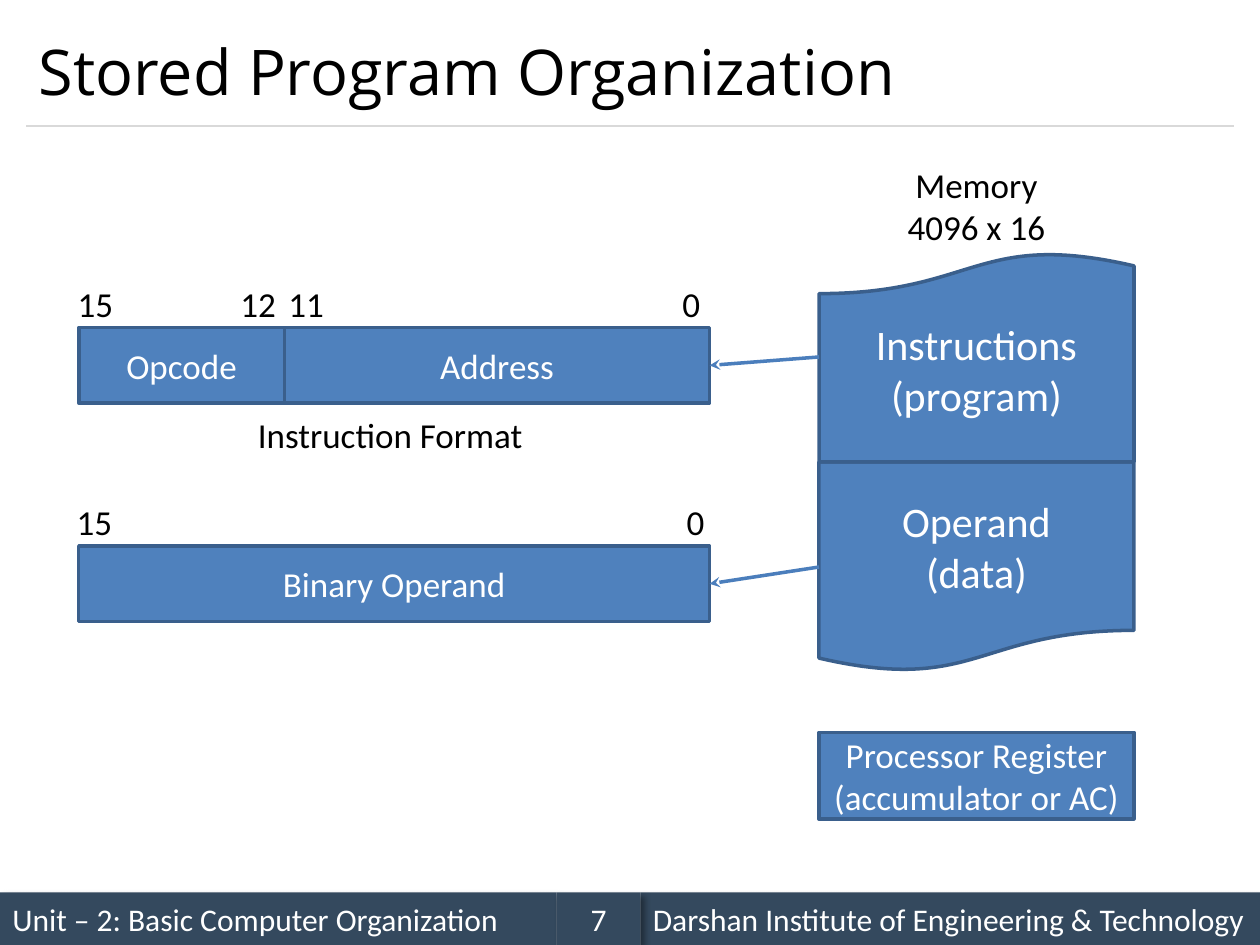
from lxml.etree import SubElement
from pptx import Presentation
from pptx.dml.color import RGBColor
from pptx.enum.shapes import MSO_CONNECTOR, MSO_SHAPE
from pptx.enum.text import MSO_ANCHOR, PP_ALIGN
from pptx.oxml.ns import qn
from pptx.util import Pt

WHITE = RGBColor(0xFF, 0xFF, 0xFF)
BLACK = RGBColor(0, 0, 0)
NAVY = RGBColor(0x34, 0x49, 0x5E)
BLUE = RGBColor(0x4F, 0x81, 0xBD)
BLUE_EDGE = RGBColor(0x3A, 0x5F, 0x8C)
ARROW_BLUE = RGBColor(0x4B, 0x7E, 0xBC)
RULE_GREY = RGBColor(0xD9, 0xD9, 0xD9)


def write(holder, text, size, color, align=PP_ALIGN.CENTER, anchor=MSO_ANCHOR.MIDDLE, font="Calibri"):
    """Put styled text into a shape or text box."""
    frame = holder.text_frame
    frame.word_wrap = True
    frame.vertical_anchor = anchor
    frame.text = text
    for paragraph in frame.paragraphs:
        paragraph.alignment = align
        paragraph.font.size = Pt(size)
        paragraph.font.name = font
        paragraph.font.color.rgb = color


def add_label(slide, box, text, size=20, color=BLACK):
    """Add a centred text box."""
    label = slide.shapes.add_textbox(*map(Pt, box))
    write(label, text, size, color, anchor=MSO_ANCHOR.TOP)


def add_block(slide, box, text="", size=20, kind=MSO_SHAPE.RECTANGLE):
    """Add a blue outlined block with centred text."""
    block = slide.shapes.add_shape(kind, *map(Pt, box))
    block.shadow.inherit = False
    block.fill.solid()
    block.fill.fore_color.rgb = BLUE
    block.line.color.rgb = BLUE_EDGE
    block.line.width = Pt(2)
    if text:
        write(block, text, size, WHITE)
    return block


def add_line(slide, start, end, color, width):
    """Add a straight line without shadow."""
    line = slide.shapes.add_connector(MSO_CONNECTOR.STRAIGHT, *map(Pt, (*start, *end)))
    line.line.color.rgb = color
    line.line.width = Pt(width)
    SubElement(line._element.spPr, qn("a:effectLst"))
    return line


def add_arrow(slide, start, target):
    """Point an arrow at the right side of a block."""
    arrow = add_line(slide, start, start, ARROW_BLUE, 2)
    arrow.end_connect(target, 3)
    SubElement(arrow.line._get_or_add_ln(), qn("a:tailEnd"), type="stealth")
    return arrow


def add_header(slide, box):
    """Add the title and the rule along its bottom."""
    left, top, width, height = box
    title = slide.shapes.add_textbox(*map(Pt, box))
    write(title, "Stored Program Organization", 36, BLACK, PP_ALIGN.LEFT, font="Open Sans")
    bottom = top + height
    add_line(slide, (left, bottom), (left + width, bottom), RULE_GREY, 0.75)


def add_footer(slide, box):
    """Add the unit, institute and page number bars."""
    left, top, width, height = box
    unit_width, page_width = 318, 48
    institute_left = unit_width + page_width
    bars = (
        (0, unit_width, "Unit – 2: Basic Computer Organization", PP_ALIGN.LEFT),
        (institute_left, width - institute_left,
         "Darshan Institute of Engineering & Technology", PP_ALIGN.LEFT),
        (unit_width, page_width, "7", PP_ALIGN.CENTER),
    )
    for offset, bar_width, text, align in bars:
        bar = slide.shapes.add_shape(
            MSO_SHAPE.RECTANGLE, *map(Pt, (left + offset, top, bar_width, height)))
        bar.fill.solid()
        bar.fill.fore_color.rgb = NAVY
        bar.line.fill.background()
        bar.shadow.inherit = False
        effects = bar._element.spPr.find(qn("a:effectLst"))
        shadow = SubElement(effects, qn("a:outerShdw"), blurRad=str(Pt(4)),
                            dist=str(Pt(3)), dir="2700000", algn="tl", rotWithShape="0")
        shade = SubElement(shadow, qn("a:srgbClr"), val="000000")
        SubElement(shade, qn("a:alpha"), val="40000")
        write(bar, text, 18, WHITE, align)


def add_memory(slide, box):
    """Add the two memory halves with their caption; return the operand half."""
    left, top, width, height = box
    half = height / 2
    operand = add_block(slide, (left, top + half, width, half), "Operand\n(data)", 24,
                        MSO_SHAPE.FLOWCHART_DOCUMENT)
    program = add_block(slide, (left, top, width, half), kind=MSO_SHAPE.FLOWCHART_DOCUMENT)
    program.rotation = 180
    add_label(slide, (left, top + 34.6, width, 65.5), "Instructions\n(program)", 24, WHITE)
    add_label(slide, (left, top - 54, width, 55.4), "Memory\n4096 x 16")
    return operand


def add_word(slide, box, fields, bits):
    """Add a word of adjoining fields under its bit numbers; return the last field."""
    left, top, width, height = box
    for name, field_width in fields:
        field = add_block(slide, (left, top, field_width, height), name)
        left += field_width
    for number, center in bits:
        add_label(slide, (box[0] + center - 18, top - 29.5, 36, 31.7), number)
    return field


def main():
    """Build the slide and save it."""
    deck = Presentation()
    deck.slide_width, deck.slide_height = Pt(720), Pt(540)
    slide = deck.slides.add_slide(deck.slide_layouts[6])

    add_footer(slide, (0, 510, 720, 30))
    add_header(slide, (15, 8.6, 690, 63.4))
    operand_memory = add_memory(slide, (468, 144, 180, 240))
    add_block(slide, (468, 418.5, 180, 49.5), "Processor Register (accumulator or AC)")

    address = add_word(slide, (45, 187.2, 360.5, 43.2),
                       (("Opcode", 117.5), ("Address", 243)),
                       (("15", 9.5), ("12", 102.5), ("11", 130), ("0", 350)))
    add_label(slide, (128, 232.6, 190, 31.7), "Instruction Format")
    binary_operand = add_word(slide, (45, 312, 360.5, 43.2),
                              (("Binary Operand", 360.5),), (("15", 9), ("0", 352.5)))

    add_arrow(slide, (468, 204), address)
    add_arrow(slide, (468, 324), binary_operand).begin_connect(operand_memory, 1)
    deck.save("out.pptx")


if __name__ == "__main__":
    main()
